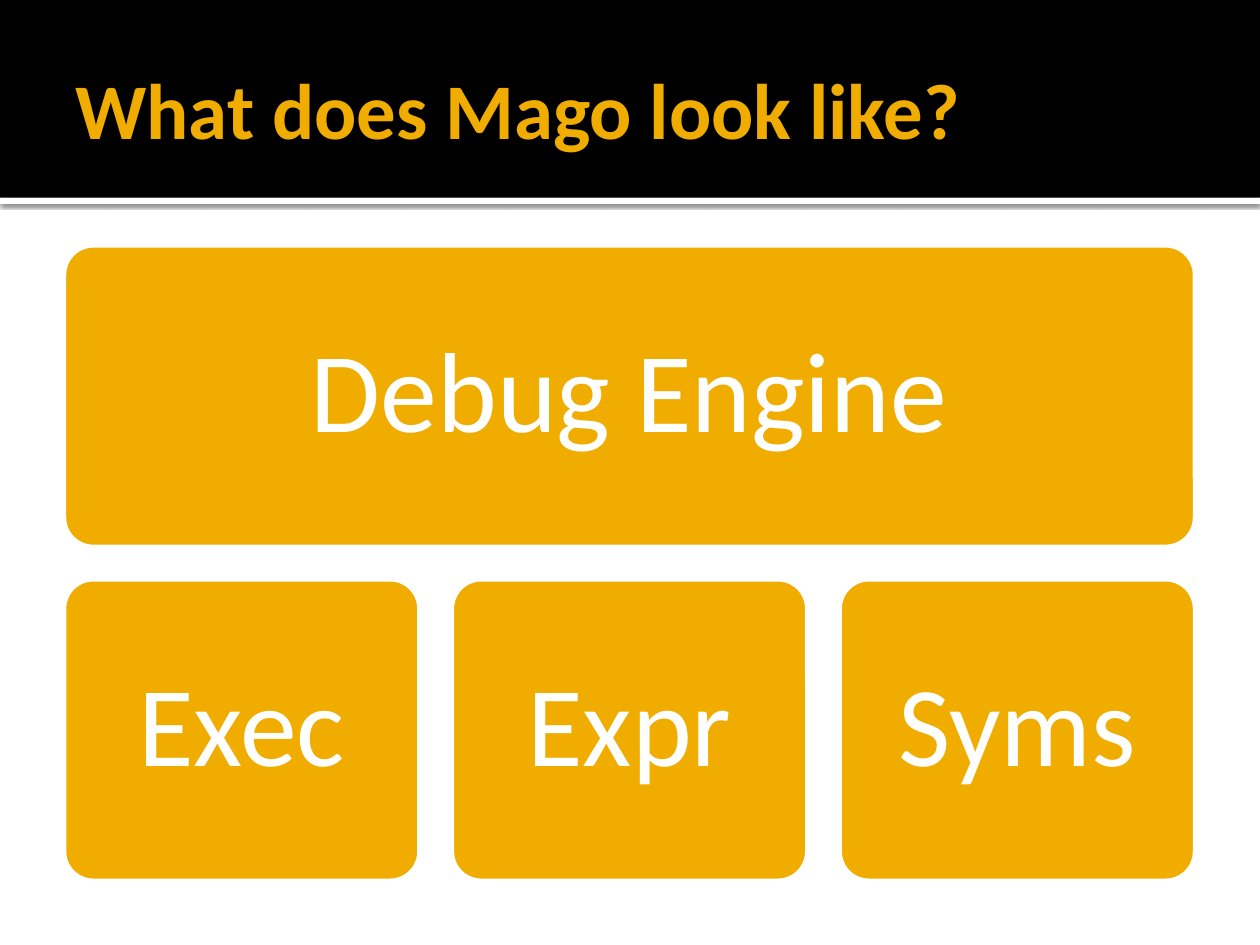
from dataclasses import dataclass

from pptx import Presentation
from pptx.dml.color import RGBColor
from pptx.enum.shapes import MSO_SHAPE as Preset
from pptx.enum.text import MSO_ANCHOR as Anchor, PP_ALIGN as Align
from pptx.oxml import parse_xml
from pptx.oxml.ns import nsdecls, qn
from pptx.util import Pt

SLIDE_WIDTH, SLIDE_HEIGHT = 720, 540
HEADER_HEIGHT = 113
MARGIN = 36
CARDS_TOP, CARDS_WIDTH = 139.6, 647.5
CARD_HEIGHT, GAP = 173.5, 17.3


@dataclass(frozen=True)
class Theme:
    font: str = "Calibri"
    title_size: float = 45
    card_size: float = 65
    black: RGBColor = RGBColor(0, 0, 0)
    white: RGBColor = RGBColor(255, 255, 255)
    amber: RGBColor = RGBColor(0xF0, 0xAD, 0x00)


class SlideBuilder:
    def __init__(self, slide, theme):
        self.slide = slide
        self.theme = theme

    def band(self, top, height, color):
        """Full-width strip without outline."""
        band = self.slide.shapes.add_shape(
            Preset.RECTANGLE, 0, Pt(top), Pt(SLIDE_WIDTH), Pt(height))
        band.shadow.inherit = False
        band.fill.solid()
        band.fill.fore_color.rgb = color
        band.line.fill.background()
        return band

    def drop_shadow(self, shape, blur, distance, opacity):
        """Soft shadow falling straight down."""
        effects = shape._element.spPr.find(qn("a:effectLst"))
        effects.append(parse_xml(
            f'<a:outerShdw {nsdecls("a")} blurRad="{Pt(blur)}" '
            f'dist="{Pt(distance)}" dir="5400000" algn="t" rotWithShape="0">'
            f'<a:srgbClr val="{self.theme.black}">'
            f'<a:alpha val="{opacity * 1000}"/></a:srgbClr></a:outerShdw>'))

    def label(self, frame, text, size, color, insets):
        frame.word_wrap = True
        frame.vertical_anchor = Anchor.MIDDLE
        (frame.margin_left, frame.margin_top,
         frame.margin_right, frame.margin_bottom) = map(Pt, insets)
        paragraph = frame.paragraphs[0]
        paragraph.text = text
        font = paragraph.font
        font.name, font.size = self.theme.font, Pt(size)
        font.color.rgb = color
        return paragraph

    def title(self, text, left, top, width, height):
        box = self.slide.shapes.add_textbox(
            Pt(left), Pt(top), Pt(width), Pt(height))
        paragraph = self.label(box.text_frame, text, self.theme.title_size,
                               self.theme.amber, (7.2, 3.6, 3.6, 3.6))
        paragraph.font.bold = True

    def card(self, text, left, top, width, height):
        """Rounded block with a centred label."""
        card = self.slide.shapes.add_shape(
            Preset.ROUNDED_RECTANGLE, Pt(left), Pt(top), Pt(width), Pt(height))
        card.adjustments[0] = 0.1
        card.shadow.inherit = False
        card.fill.solid()
        card.fill.fore_color.rgb = self.theme.amber
        card.line.color.rgb = self.theme.white
        card.line.width = Pt(3.78)
        paragraph = self.label(card.text_frame, text, self.theme.card_size,
                               self.theme.white, (19.5,) * 4)
        paragraph.alignment = Align.CENTER
        paragraph.line_spacing = 0.9


def main():
    deck = Presentation()
    deck.slide_width, deck.slide_height = Pt(SLIDE_WIDTH), Pt(SLIDE_HEIGHT)
    theme = Theme()
    builder = SlideBuilder(deck.slides.add_slide(deck.slide_layouts[6]), theme)

    # Header with a shadowed rule beneath it
    rule = builder.band(HEADER_HEIGHT, 3.6, theme.white)
    builder.drop_shadow(rule, blur=2.5, distance=0.8, opacity=60)
    builder.band(0, HEADER_HEIGHT, theme.black)
    builder.title("What does Mago look like?", MARGIN, 12.24, 648, 98.64)

    # Engine on top of its components, each row filling the full width
    rows = [["Debug Engine"], ["Exec", "Expr", "Syms"]]
    for row, names in enumerate(rows):
        top = CARDS_TOP + row * (CARD_HEIGHT + GAP)
        width = (CARDS_WIDTH - GAP * (len(names) - 1)) / len(names)
        for column, name in enumerate(names):
            builder.card(name, MARGIN + column * (width + GAP), top,
                         width, CARD_HEIGHT)

    deck.save("out.pptx")


if __name__ == "__main__":
    main()
